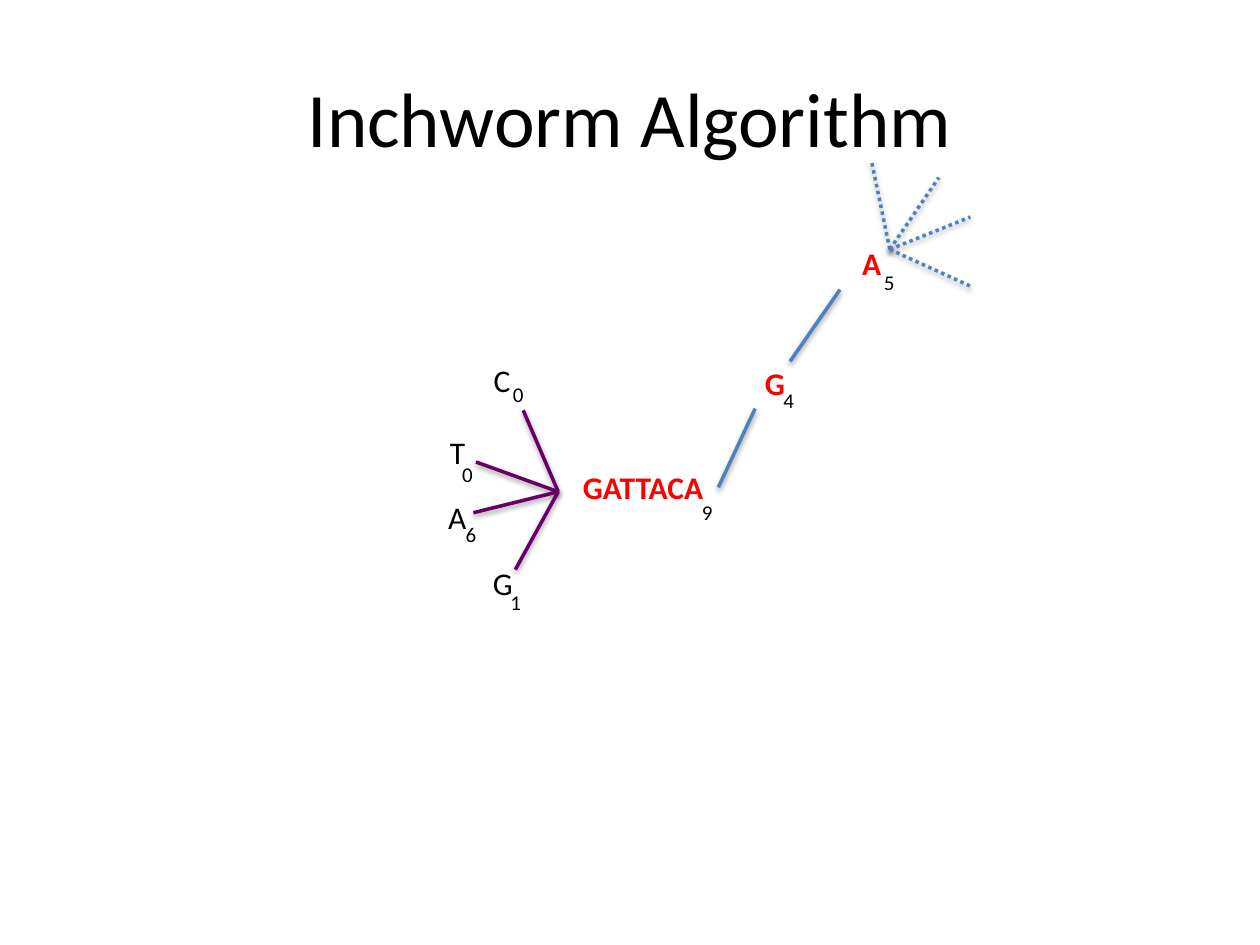
import pptx
from pptx.dml.color import RGBColor
from pptx.enum.dml import MSO_LINE
from pptx.enum.shapes import MSO_CONNECTOR
from pptx.enum.text import MSO_ANCHOR, MSO_AUTO_SIZE, PP_ALIGN
from pptx.util import Pt

BLACK, RED, BLUE, PURPLE = "000000", "FF0000", "4F81BD", "660066"
TITLE = "Inchworm Algorithm"

# bases, (left, top, width), count, (left, top) of the count
CHOSEN = [
    ("GATTACA", (326, 264, 84.5), "9", (394, 282)),
    ("G", (430, 204.5, 26), "4", (440.5, 218)),
    ("A", (485.5, 136, 26), "5", (498, 150.5)),
]
CANDIDATES = [
    ("G", (274.5, 319, 26), "1", (284.5, 333.5)),
    ("A", (249, 281, 25), "6", (259, 294.5)),
    ("T", (250, 244, 29), "0", (257, 260)),
    ("C", (275, 202.5, 24.5), "0", (286, 214.5)),
]
EXTENSIONS = [
    ((410.5, 278.5), (431.5, 233.5)),
    ((451.5, 206.5), (480, 165.5)),
]
NEXT_HUB = (508.5, 142.5)
NEXT_TIPS = [(498, 92), (536.5, 101.5), (554.5, 124), (554.5, 163.5)]
LEFT_HUB = (319, 281)
LEFT_TIPS = [(299, 234.5), (272, 264), (270.5, 293), (294.5, 325.5)]


def rgb(color):
    return RGBColor.from_string(color)


def style(p, size, color, bold=False):
    font = p.runs[0].font
    font.name, font.size, font.bold = "Calibri", Pt(size), bold
    font.color.rgb = rgb(color)


def add_text(text, left, top, width, height, size, color, bold=False):
    tf = s.shapes.add_textbox(Pt(left), Pt(top), Pt(width), Pt(height)).text_frame
    tf.word_wrap = False
    tf.auto_size = MSO_AUTO_SIZE.SHAPE_TO_FIT_TEXT
    tf.text = text
    style(tf.paragraphs[0], size, color, bold)


def add_bases(rows, color, bold):
    """Add each base label with its small count at the lower right."""
    for bases, (left, top, width), count, (count_left, count_top) in rows:
        add_text(bases, left, top, width, 29, 18, color, bold)
        add_text(count, count_left, count_top, 21, 21.8, 12, BLACK)


def add_line(shapes, start, end, color, dash=None):
    """Add a line that keeps the soft shadow of the theme."""
    line = shapes.add_connector(
        MSO_CONNECTOR.STRAIGHT, *(Pt(v) for v in start + end)).line
    line.color.rgb = rgb(color)
    line.width = Pt(2)
    if dash:
        line.dash_style = dash


def add_fan(hub, tips, color, dash=None):
    group = s.shapes.add_group_shape()
    for tip in tips:
        add_line(group.shapes, hub, tip, color, dash)


prs = pptx.Presentation()
prs.slide_width, prs.slide_height = Pt(720), Pt(540)
s = prs.slides.add_slide(prs.slide_layouts[5])

title = s.shapes.title
title.left, title.top, title.width, title.height = Pt(36), Pt(21.6), Pt(648), Pt(90)
tf = title.text_frame
tf.text = TITLE
tf.vertical_anchor = MSO_ANCHOR.MIDDLE
tf.paragraphs[0].alignment = PP_ALIGN.CENTER
style(tf.paragraphs[0], 44, BLACK)

add_bases(CHOSEN, RED, True)
for start, end in EXTENSIONS:
    add_line(s.shapes, start, end, BLUE)
add_fan(NEXT_HUB, NEXT_TIPS, BLUE, MSO_LINE.ROUND_DOT)
add_fan(LEFT_HUB, LEFT_TIPS, PURPLE)
add_bases(CANDIDATES, BLACK, False)

prs.save("out.pptx")
